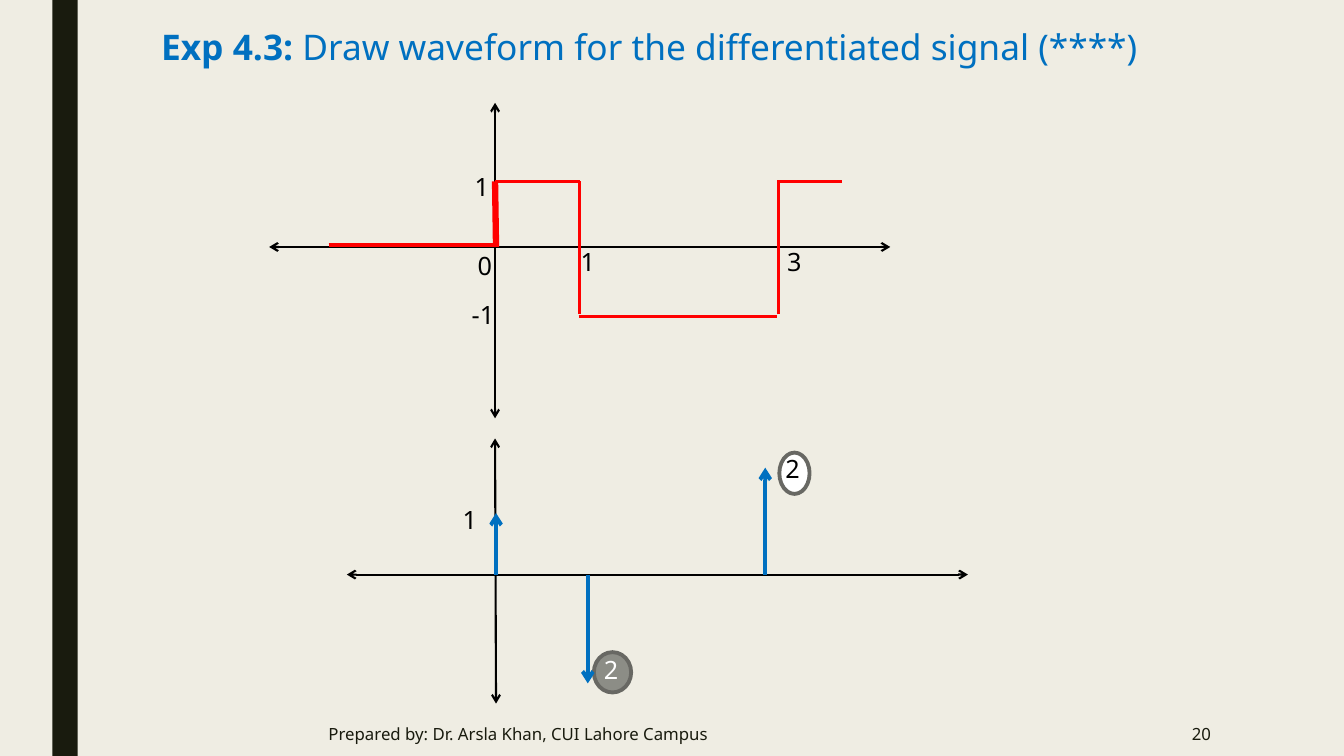
from dataclasses import dataclass

from lxml.etree import SubElement
from pptx import Presentation
from pptx.dml.color import RGBColor
from pptx.enum.shapes import MSO_CONNECTOR as Connector, MSO_SHAPE as Preset
from pptx.enum.text import MSO_ANCHOR as Anchor, PP_ALIGN as Align
from pptx.oxml.ns import qn
from pptx.slide import Slide
from pptx.util import Inches, Pt

FONT = "Noto Sans"
CREAM = RGBColor(0xEF, 0xED, 0xE3)
DARK = RGBColor(0x19, 0x1B, 0x0E)
GRAY = RGBColor(0x8C, 0x8D, 0x86)
OUTLINE = RGBColor(0x68, 0x68, 0x63)
BLUE = RGBColor(0x00, 0x70, 0xC0)
RED = RGBColor(0xFF, 0x00, 0x00)
BLACK = RGBColor(0x00, 0x00, 0x00)
WHITE = RGBColor(0xFF, 0xFF, 0xFF)


@dataclass(frozen=True)
class Box:
    left: float
    top: float
    width: float
    height: float


@dataclass(frozen=True)
class Line:
    start: tuple[float, float]
    end: tuple[float, float]
    color: RGBColor
    weight: float
    arrows: tuple[str, ...] = ()


@dataclass(frozen=True)
class Label:
    runs: tuple[str, ...]
    box: Box
    color: RGBColor = BLACK
    size: float = 18
    anchor: Anchor = Anchor.TOP
    align: Align = Align.LEFT
    spacing: float = 1.0


@dataclass(frozen=True)
class Figure:
    preset: Preset
    box: Box
    fill: RGBColor
    outline: RGBColor | None = None


def axis(start: tuple[float, float], end: tuple[float, float]) -> Line:
    return Line(start, end, BLACK, 1.5, ("headEnd", "tailEnd"))


def impulse(x: float, tip: float) -> Line:
    return Line((x, IMPULSE_BASE), (x, tip), BLUE, 2.75, ("tailEnd",))


def wave(start: tuple[float, float], end: tuple[float, float], weight: float = 2) -> Line:
    return Line(start, end, RED, weight)


def number(text: str, left: float, top: float, color: RGBColor = BLACK) -> Label:
    return Label((text,), Box(left, top, 0.64, 0.4), color)


IMPULSE_BASE = 5.7
HIGH, LOW, ZERO = 1.8, 3.14, 2.45
ORIGIN, ONE, THREE = 4.91, 5.75, 7.72

FIGURES = (
    Figure(Preset.RECTANGLE, Box(0.52, 0, 0.25, 7.5), DARK),
    Figure(Preset.OVAL, Box(5.89, 6.47, 0.37, 0.4), GRAY, OUTLINE),
    Figure(Preset.OVAL, Box(7.73, 4.49, 0.3, 0.41), WHITE, OUTLINE),
)

LINES = (
    axis((3.44, IMPULSE_BASE), (9.6, IMPULSE_BASE)),
    axis((ORIGIN, 4.35), (4.92, 6.98)),
    impulse(4.92, 5.09),
    impulse(5.83, 6.78),
    impulse(7.59, 4.64),
    axis((ORIGIN, 1.02), (ORIGIN, 4.15)),
    axis((2.67, ZERO), (8.83, ZERO)),
    wave((ORIGIN, HIGH), (ONE, HIGH)),
    wave((ONE, HIGH), (ONE, 3.12)),
    wave((5.74, LOW), (7.71, LOW)),
    wave((THREE, 3.12), (THREE, HIGH)),
    wave((7.71, HIGH), (8.35, HIGH)),
    wave((ORIGIN, HIGH), (4.92, ZERO), 4.5),
    wave((3.26, 2.43), (ORIGIN, 2.43), 2.25),
)

TITLE = Label(
    ("Exp 4.3:", " Draw waveform for the differentiated signal (****)"),
    Box(1.5, 0.25, 10.5, 0.58), BLUE, 25.2, spacing=0.89,
)

LABELS = (
    Label(("Prepared by: Dr. Arsla Khan, CUI Lahore Campus",),
          Box(3.16, 7.06, 6.87, 0.44), DARK, 12, Anchor.MIDDLE),
    Label(("20",), Box(10.36, 7.06, 1.75, 0.44), DARK, 12, Anchor.MIDDLE, Align.RIGHT),
    number("1", 4.49, 4.95),
    number("2", 5.89, 6.44, WHITE),
    number("2", 7.69, 4.45),
    number("0", 4.64, 2.43),
    number("1", 5.66, 2.39),
    number("3", 7.71, 2.39),
    number("1", 4.61, 1.65),
    number("-1", 4.58, 2.92),
)


def lengths(box: Box) -> tuple[Inches, ...]:
    return tuple(Inches(value) for value in (box.left, box.top, box.width, box.height))


def draw_figure(slide: Slide, figure: Figure) -> None:
    shape = slide.shapes.add_shape(figure.preset, *lengths(figure.box))
    shape.shadow.inherit = False
    shape.fill.solid()
    shape.fill.fore_color.rgb = figure.fill
    if figure.outline is None:
        shape.line.fill.background()
    else:
        shape.line.color.rgb = figure.outline
        shape.line.width = Pt(2.75)


def draw_line(slide: Slide, line: Line) -> None:
    ends = (Inches(value) for value in (*line.start, *line.end))
    connector = slide.shapes.add_connector(Connector.STRAIGHT, *ends)
    connector.line.color.rgb = line.color
    connector.line.width = Pt(line.weight)
    for arrow in line.arrows:
        SubElement(connector.line._get_or_add_ln(), qn(f"a:{arrow}"), type="arrow")
    SubElement(connector._element.spPr, qn("a:effectLst"))


def draw_label(slide: Slide, label: Label) -> None:
    frame = slide.shapes.add_textbox(*lengths(label.box)).text_frame
    frame.word_wrap = True
    frame.vertical_anchor = label.anchor
    paragraph = frame.paragraphs[0]
    paragraph.alignment = label.align
    paragraph.line_spacing = label.spacing
    paragraph.font.name = FONT
    paragraph.font.size = Pt(label.size)
    paragraph.font.color.rgb = label.color
    for text in label.runs:
        paragraph.add_run().text = text
    if len(label.runs) > 1:
        paragraph.runs[0].font.bold = True


def main() -> None:
    presentation = Presentation()
    presentation.slide_width = Inches(13.33)
    presentation.slide_height = Inches(7.5)
    slide = presentation.slides.add_slide(presentation.slide_layouts[6])
    slide.background.fill.solid()
    slide.background.fill.fore_color.rgb = CREAM
    for figure in FIGURES:
        draw_figure(slide, figure)
    for line in LINES:
        draw_line(slide, line)
    for label in (TITLE, *LABELS):
        draw_label(slide, label)
    presentation.save("out.pptx")


if __name__ == "__main__":
    main()
